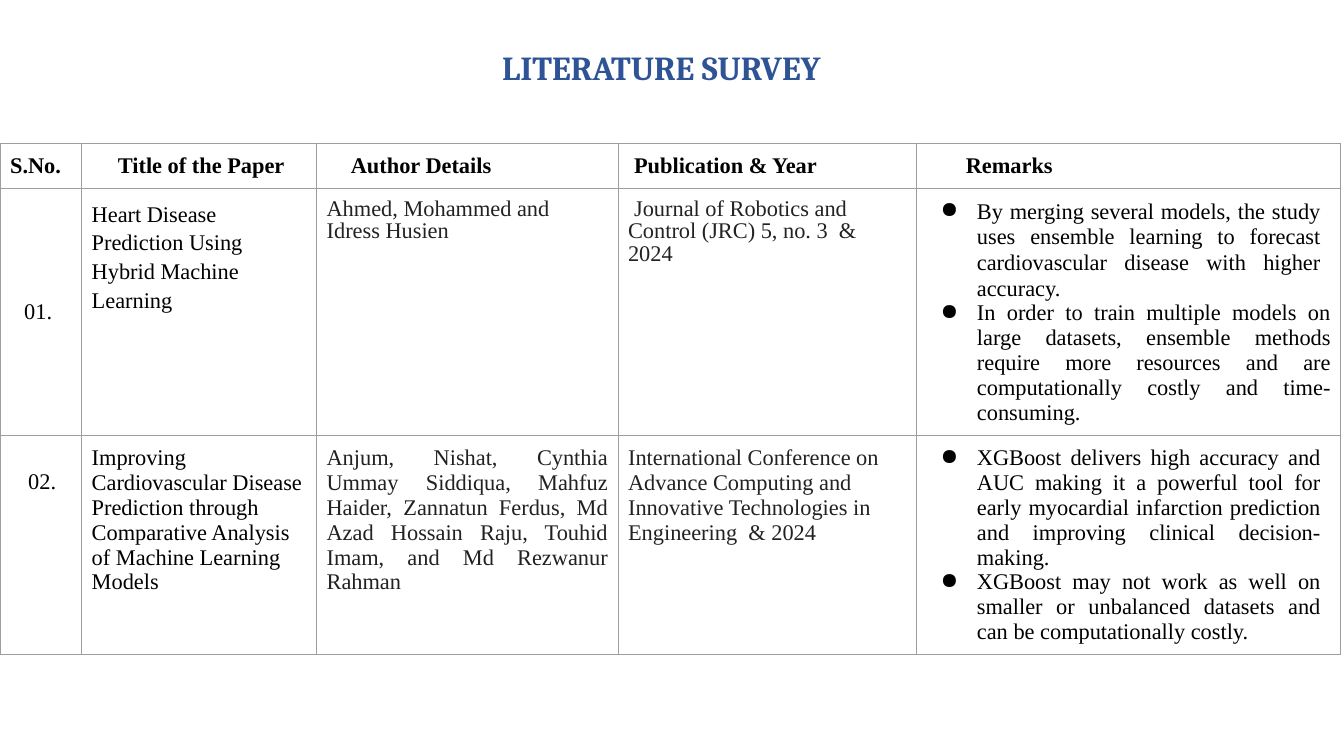
"""Build the literature survey slide with its table of papers."""
from lxml import etree
from pptx import Presentation
from pptx.dml.color import RGBColor
from pptx.enum import text
from pptx.oxml import ns
from pptx.util import Inches, Pt

TITLE = "LITERATURE SURVEY"
HEADINGS = [("S.No.", 0), ("Title of the Paper", 0.26), ("Author Details", 0.24),
            ("Publication & Year", 0.06), ("Remarks", 0.39)]
PAPERS = [
    {
        "number": "01.",
        "title": "Heart Disease Prediction Using Hybrid Machine Learning",
        "authors": "Ahmed, Mohammed and Idress Husien",
        "publication": "Journal of Robotics and Control (JRC) 5, no. 3  & 2024",
        "remarks": [
            "By merging several models, the study uses ensemble learning to forecast "
            "cardiovascular disease with higher accuracy.",
            "In order to train multiple models on large datasets, ensemble methods require "
            "more resources and are computationally costly and time-consuming.",
        ],
    },
    {
        "number": "02.",
        "title": "Improving Cardiovascular Disease Prediction through Comparative Analysis "
                 "of Machine Learning Models",
        "authors": "Anjum, Nishat, Cynthia Ummay Siddiqua, Mahfuz Haider, Zannatun Ferdus, "
                   "Md Azad Hossain Raju, Touhid Imam, and Md Rezwanur Rahman",
        "publication": "International Conference on Advance Computing and Innovative "
                       "Technologies in Engineering  & 2024",
        "remarks": [
            "XGBoost delivers high accuracy and AUC making it a powerful tool for early "
            "myocardial infarction prediction and improving clinical decision-making.",
            "XGBoost may not work as well on smaller or unbalanced datasets and can be "
            "computationally costly.",
        ],
    },
]
STYLES = [
    {
        "number": {"indent": 0.14},
        "title": {"spacing": 1.15},
        "authors": {"color": "222222", "spacing": 0.9},
        "publication": {"color": "222222", "spacing": 0.9, "indent": 0.06},
        "remarks": [{"spacing": 1.03, "right": 0.1}, {}],
    },
    {
        "number": {"indent": 0.18},
        "title": {},
        "authors": {"color": "212121", "justify": True},
        "publication": {"color": "222222"},
        "remarks": [{"right": 0.1}, {"right": 0.1}],
    },
]
COLUMN_WIDTHS = [0.81, 2.33, 2.99, 2.96, 4.21]
ROW_HEIGHTS = [0.45, 2.45, 2.17]
MARGIN = 0.1


def rgb(color):
    return RGBColor.from_string(color)


def set_font(font, name, size, color, bold):
    font.name, font.size, font.bold = name, Pt(size), bold
    font.color.rgb = rgb(color)


def add_child(parent, tag, **attributes):
    return etree.SubElement(parent, ns.qn(tag), attributes)


def style_cell(cell):
    cell.margin_left = cell.margin_right = Inches(MARGIN)
    cell.margin_top = cell.margin_bottom = Inches(MARGIN)
    properties = cell._tc.get_or_add_tcPr()
    for side in "LRTB":
        border = add_child(properties, f"a:ln{side}", w=str(Pt(0.75)))
        add_child(add_child(border, "a:solidFill"), "a:srgbClr", val="9E9E9E")
    cell.fill.background()


def write(paragraph, words, color="000000", bold=False, spacing=1.0, indent=0,
          right=0, justify=False, bullet=False):
    paragraph.text = words
    paragraph.line_spacing = spacing
    paragraph.alignment = text.PP_ALIGN.JUSTIFY if justify else text.PP_ALIGN.LEFT
    properties = paragraph._p.get_or_add_pPr()
    properties.set("marL", str(Inches(0.5 if bullet else 0)))
    properties.set("marR", str(Inches(right)))
    properties.set("indent", str(Inches(-0.36 if bullet else indent)))
    if bullet:
        add_child(add_child(properties, "a:buClr"), "a:srgbClr", val="000000")
        add_child(properties, "a:buChar", char="●")
    set_font(paragraph.font, "Times New Roman", 16, color, bold)


def add_title(slide):
    title = slide.shapes.title
    title.left, title.top, title.width, title.height = map(Inches, (4.27, 0.23, 4.58, 0.67))
    frame = title.text_frame
    frame.text = TITLE
    frame.auto_size = text.MSO_AUTO_SIZE.NONE
    frame.vertical_anchor = text.MSO_ANCHOR.MIDDLE
    heading = frame.paragraphs[0]
    heading.alignment = text.PP_ALIGN.CENTER
    heading.line_spacing = 1.5
    set_font(heading.font, "Cambria", 24, "2F5496", True)


def add_survey(slide):
    survey = slide.shapes.add_table(
        len(ROW_HEIGHTS), len(COLUMN_WIDTHS), Inches(0), Inches(1.42),
        Inches(sum(COLUMN_WIDTHS)), Inches(sum(ROW_HEIGHTS))).table
    survey.first_row = survey.horz_banding = False
    for column, width in zip(survey.columns, COLUMN_WIDTHS):
        column.width = Inches(width)
    for row, height in zip(survey.rows, ROW_HEIGHTS):
        row.height = Inches(height)
    for cell in survey.iter_cells():
        style_cell(cell)

    for cell, (heading, indent) in zip(survey.rows[0].cells, HEADINGS):
        write(cell.text_frame.paragraphs[0], heading, bold=True, indent=indent)
    for row, (paper, styles) in enumerate(zip(PAPERS, STYLES), 1):
        for column, (part, words) in enumerate(paper.items()):
            frame = survey.cell(row, column).text_frame
            if part != "remarks":
                write(frame.paragraphs[0], words, **styles[part])
                continue
            for index, (remark, style) in enumerate(zip(words, styles[part])):
                paragraph = frame.add_paragraph() if index else frame.paragraphs[0]
                write(paragraph, remark, justify=True, bullet=True, **style)
    survey.cell(1, 0).vertical_anchor = text.MSO_ANCHOR.MIDDLE
    survey.cell(2, 0).margin_top = Inches(0.34)


def main():
    deck = Presentation()
    deck.slide_width, deck.slide_height = Inches(13.33), Inches(7.5)
    slide = deck.slides.add_slide(deck.slide_layouts.get_by_name("Title Only"))
    add_title(slide)
    add_survey(slide)
    deck.save("out.pptx")


if __name__ == "__main__":
    main()
